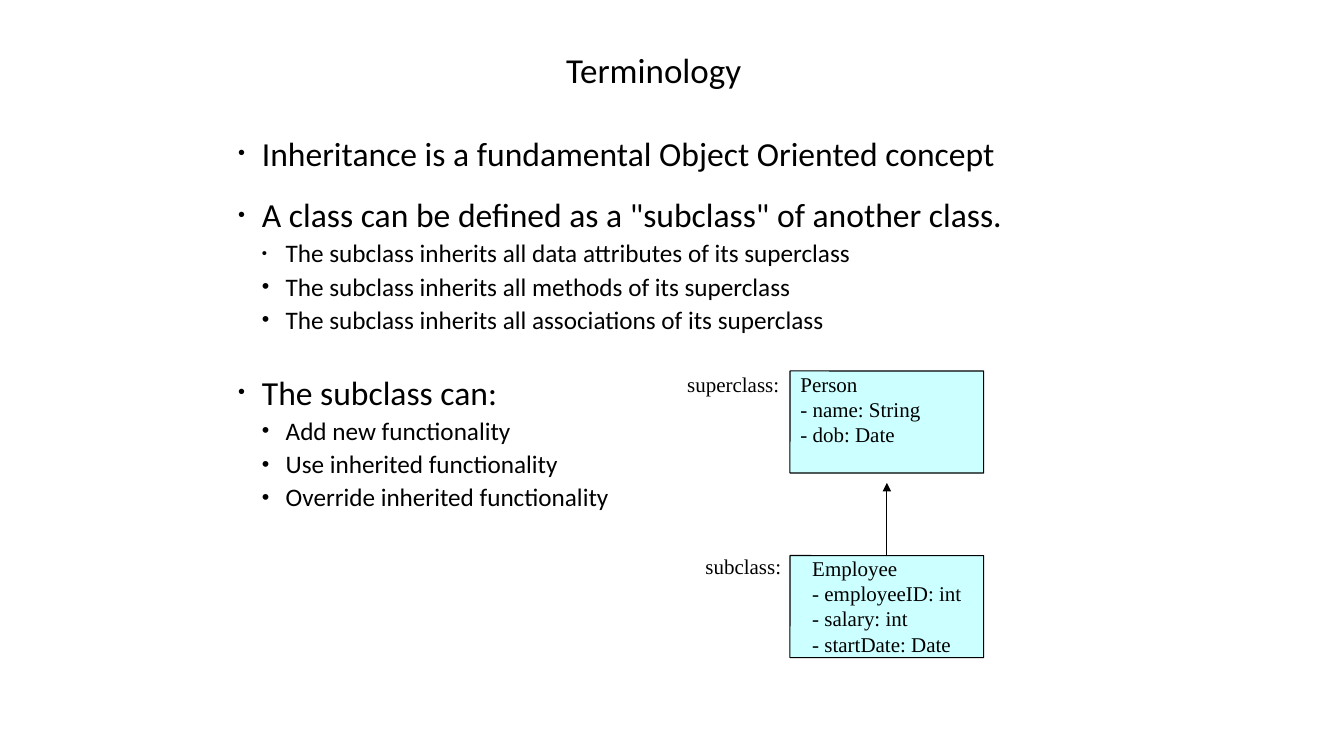
from lxml.etree import SubElement
from pptx import Presentation
from pptx.dml.color import RGBColor
from pptx.enum.shapes import MSO_CONNECTOR, MSO_SHAPE
from pptx.enum.text import MSO_ANCHOR, MSO_AUTO_SIZE, PP_ALIGN
from pptx.oxml.ns import qn
from pptx.util import Cm, Pt

BLACK = RGBColor(0x00, 0x00, 0x00)
PALE_CYAN = RGBColor(0xCC, 0xFF, 0xFF)
SANS = "Calibri"
SERIF = "Times New Roman"
LINE_WIDTH = Pt(0.75)

TITLE = "Terminology"
BULLETS = [
    (0, "Inheritance is a fundamental Object Oriented concept", 2.5, 59),
    (0, 'A class can be defined as a "subclass" of another class.', 15, 59),
    (1, "The subclass inherits all data attributes of its superclass", 2.2, 59),
    (1, "The subclass inherits all methods of its superclass", 2.2, 85),
    (1, "The subclass inherits all associations of its superclass", 2.2, 85),
    (0, "The subclass can:", 26.5, 59),
    (1, "Add new functionality", 2.2, 85),
    (1, "Use inherited functionality", 2.2, 85),
    (1, "Override inherited functionality", 2.2, 85),
]
LEVEL_SIZES = [24, 18]
LEVEL_INDENTS = [(Cm(0.6), Cm(-0.6)), (Cm(1.2), Cm(-0.6))]
PERSON = ["Person", "- name: String", "- dob: Date"]
EMPLOYEE = ["Employee", "- employeeID: int", "- salary: int", "- startDate: Date"]


def write_text(paragraph, text, *, size, font=SANS, before=0, spacing=None):
    paragraph.alignment = PP_ALIGN.LEFT
    paragraph.space_before = Pt(before)
    if spacing:
        paragraph.line_spacing = Pt(spacing)
    run = paragraph.add_run()
    run.text = text
    run.font.name = font
    run.font.size = Pt(size)
    run.font.color.rgb = BLACK


def write_lines(frame, lines):
    for index, line in enumerate(lines):
        paragraph = frame.add_paragraph() if index else frame.paragraphs[0]
        write_text(paragraph, line, size=15, font=SERIF, spacing=18)


def prepare_frame(shape, *, wrap=True, inset=0):
    frame = shape.text_frame
    frame.auto_size = MSO_AUTO_SIZE.NONE
    frame.word_wrap = wrap
    frame.vertical_anchor = MSO_ANCHOR.TOP
    frame.margin_left = inset
    frame.margin_top = frame.margin_right = frame.margin_bottom = 0
    return frame


def place(shape, left, top, width, height):
    shape.left, shape.top, shape.width, shape.height = left, top, width, height


def add_bullet(paragraph, level, percent):
    paragraph.level = level
    properties = paragraph._p.get_or_add_pPr()
    margin, indent = LEVEL_INDENTS[level]
    properties.set("marL", str(margin))
    properties.set("indent", str(indent))
    color = SubElement(properties, qn("a:buClr"))
    SubElement(color, qn("a:srgbClr"), val=str(BLACK))
    SubElement(properties, qn("a:buSzPct"), val=str(percent * 1000))
    SubElement(properties, qn("a:buFont"), typeface="Arial")
    SubElement(properties, qn("a:buChar"), char="•")


def fill_title(slide, left, top, width, height):
    title = slide.shapes.title
    place(title, left, top, width, height)
    write_text(prepare_frame(title).paragraphs[0], TITLE, size=25)


def fill_body(slide, left, top, width, height):
    body = slide.placeholders[1]
    place(body, left, top, width, height)
    frame = prepare_frame(body)
    for index, (level, text, before, percent) in enumerate(BULLETS):
        paragraph = frame.add_paragraph() if index else frame.paragraphs[0]
        write_text(paragraph, text, size=LEVEL_SIZES[level], before=before)
        add_bullet(paragraph, level, percent)


def add_class_box(slide, lines, left, top, width, height, *, inset):
    box = slide.shapes.add_shape(
        MSO_SHAPE.ROUNDED_RECTANGLE, left, top, width, height)
    box.adjustments[0] = 0.001
    box.shadow.inherit = False
    box.fill.solid()
    box.fill.fore_color.rgb = PALE_CYAN
    box.line.color.rgb = BLACK
    box.line.width = LINE_WIDTH
    write_lines(prepare_frame(box, inset=inset), lines)


def add_label(slide, text, left, top, width):
    label = slide.shapes.add_textbox(left, top, width, Cm(0.64))
    write_lines(prepare_frame(label, wrap=False), [text])


def add_arrow(slide, x, start, end):
    arrow = slide.shapes.add_connector(MSO_CONNECTOR.STRAIGHT, x, start, x, end)
    arrow.line.color.rgb = BLACK
    arrow.line.width = LINE_WIDTH
    SubElement(arrow.line._get_or_add_ln(), qn("a:tailEnd"), type="triangle")
    SubElement(arrow._element.spPr, qn("a:effectLst"))


def draw_diagram(slide, left, top, width, height):
    box_width, box_height = Cm(4.88), Cm(2.57)
    box_left = left + width - box_width
    employee_top = top + height - box_height
    add_class_box(slide, PERSON, box_left, top, box_width, box_height,
                  inset=Cm(0.26))
    add_arrow(slide, box_left + box_width // 2, employee_top + Cm(0.25),
              top + box_height + Cm(0.25))
    add_class_box(slide, EMPLOYEE, box_left, employee_top, box_width, box_height,
                  inset=Cm(0.56))
    add_label(slide, "superclass:", left, top + Cm(0.02), Cm(2.34))
    add_label(slide, "subclass:", left + Cm(0.46), employee_top - Cm(0.06),
              Cm(1.93))


def main():
    presentation = Presentation()
    presentation.slide_width = Cm(33.87)
    presentation.slide_height = Cm(19.05)
    slide = presentation.slides.add_slide(presentation.slide_layouts[1])
    fill_title(slide, Cm(14.27), Cm(1.22), Cm(5.38), Cm(1.07))
    fill_body(slide, Cm(6), Cm(3.35), Cm(21.59), Cm(9.73))
    draw_diagram(slide, Cm(17.32), Cm(9.35), Cm(7.47), Cm(7.22))
    presentation.save("out.pptx")


if __name__ == "__main__":
    main()
